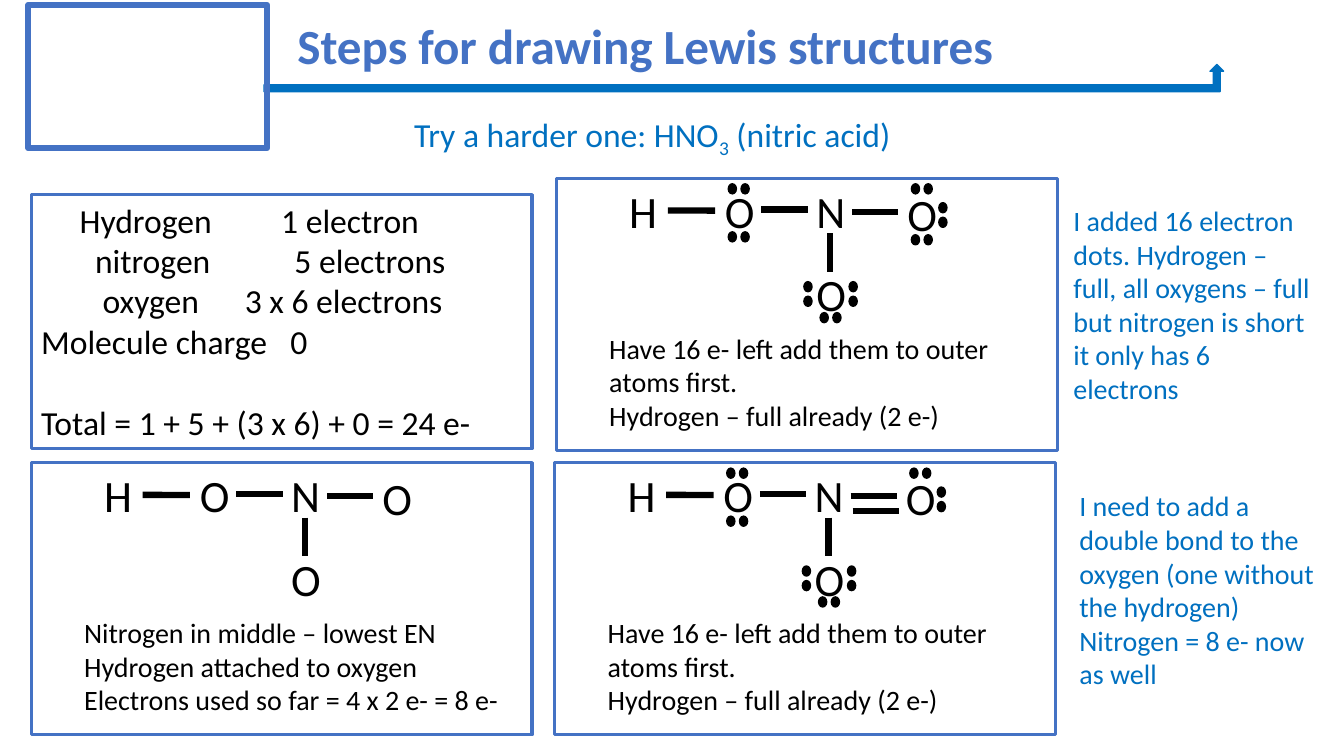
from lxml import etree
from pptx import Presentation
from pptx.dml.color import RGBColor
from pptx.enum.shapes import MSO_CONNECTOR, MSO_SHAPE
from pptx.enum.text import MSO_ANCHOR, MSO_AUTO_SIZE, PP_ALIGN
from pptx.oxml.ns import qn
from pptx.util import Pt

RECTANGLE = MSO_SHAPE.RECTANGLE
OVAL = MSO_SHAPE.OVAL
BENT_ARROW = MSO_SHAPE.BENT_UP_ARROW
STRAIGHT = MSO_CONNECTOR.STRAIGHT
TOP, MIDDLE = MSO_ANCHOR.TOP, MSO_ANCHOR.MIDDLE
LEFT = PP_ALIGN.LEFT
NO_AUTOFIT = MSO_AUTO_SIZE.NONE

INDIGO, BLUE, BLACK, WHITE = "4472C4", "0070C0", "000000", "FFFFFF"
PANEL_WIDTH, PANEL_HEIGHT = 357.8, 194.4
LOWER_TOP = 330.5

# Offsets from the top left of the molecule
ATOMS = [("H", 0, 0), ("O", 68.4, 0), ("N", 133.6, 0), ("O", 133.6, 59.8), ("O", 198.7, 2.2)]
ATOM_WIDTH, ATOM_HEIGHT = 47.5, 46.1
BONDS = [(34.6, 23, 68.4, 23), (101.5, 22.3, 134.6, 22.3),
         (166.3, 23.8, 199.4, 23.8), (150.5, 39.2, 150.5, 67)]
SECOND_BOND = (167.8, 34.6, 200.9, 34.6)
FLAT_PAIRS = [(77.8, 3.9), (77.8, 38.2), (208.6, 3.9), (143.4, 95.9)]
EXTRA_PAIR = (208.6, 40.3)
UPRIGHT_PAIRS = [(228.2, 17.4), (164.1, 73.8), (131.8, 73.8)]
DOT_WIDTH, DOT_HEIGHT = 5.8, 7.2
FLAT_STEP, UPRIGHT_STEP = 9.1, 10.4

ELECTRON_ROWS = [("Hydrogen", "1 electron", 27.5, 171.5),
                 ("nitrogen", "5 electrons", 38.5, 181),
                 ("oxygen", "3 x 6 electrons", 44, 145.5)]


def color(code):
    return RGBColor.from_string(code)


class LewisSlide:
    font = "Calibri"

    def __init__(self, page):
        self.page = page

    def add_span(self, para, text, size, ink=BLACK, bold=False):
        span = para.add_run()
        span.text = text
        span.font.name = self.font
        span.font.size = Pt(size)
        span.font.color.rgb = color(ink)
        span.font.bold = bold
        return span

    def prepare(self, box, anchor=TOP):
        """Set wrapping and anchoring, and return the first paragraph."""
        frame = box.text_frame
        frame.word_wrap = True
        frame.auto_size = NO_AUTOFIT
        frame.vertical_anchor = anchor
        para = frame.paragraphs[0]
        para.alignment = LEFT
        return para

    def title(self, text, left, top, width, height):
        box = self.page.shapes.title
        box.left, box.top, box.width, box.height = Pt(left), Pt(top), Pt(width), Pt(height)
        para = self.prepare(box, MIDDLE)
        para.line_spacing = 0.9
        self.add_span(para, text, 35.1, INDIGO, True)

    def text(self, lines, left, top, width, height, size=20, ink=BLACK):
        box = self.page.shapes.add_textbox(Pt(left), Pt(top), Pt(width), Pt(height))
        para = self.prepare(box)
        for number, line in enumerate(lines):
            if number:
                para = box.text_frame.add_paragraph()
            self.add_span(para, line, size, ink)
        return box

    def shape(self, kind, left, top, width, height, fill=None, line=INDIGO, weight=2.25):
        box = self.page.shapes.add_shape(kind, Pt(left), Pt(top), Pt(width), Pt(height))
        box.shadow.inherit = False
        if fill:
            box.fill.solid()
            box.fill.fore_color.rgb = color(fill)
        else:
            box.fill.background()
        box.line.color.rgb = color(line)
        box.line.width = Pt(weight)
        return box

    def panel(self, left, top, height=PANEL_HEIGHT):
        return self.shape(RECTANGLE, left, top, PANEL_WIDTH, height, WHITE)

    def bond(self, left, top, ends):
        x1, y1, x2, y2 = ends
        line = self.page.shapes.add_connector(
            STRAIGHT, Pt(left + x1), Pt(top + y1), Pt(left + x2), Pt(top + y2))
        line.line.color.rgb = color(BLACK)
        line.line.width = Pt(4.5)
        etree.SubElement(line._element.spPr, qn("a:effectLst"))
        return line

    def molecule(self, left, top):
        atoms = [self.text([symbol], left + x, top + y, ATOM_WIDTH, ATOM_HEIGHT, 32)
                 for symbol, x, y in ATOMS]
        bonds = [self.bond(left, top, ends) for ends in BONDS]
        bonds[0].end_connect(atoms[1], 1)

    def dots(self, left, top, pairs, step_x, step_y):
        """Draw a pair of electron dots at each offset."""
        for x, y in pairs:
            for index in range(2):
                self.shape(OVAL, left + x + index * step_x, top + y + index * step_y,
                           DOT_WIDTH, DOT_HEIGHT, BLACK, BLACK, 1)

    def structure_panel(self, left, top, caption, flat_pairs=(), upright_pairs=()):
        """Draw a framed molecule with its dots and caption; return the molecule's left."""
        self.panel(left, top)
        origin = left + 45
        self.molecule(origin, top)
        self.text(caption, left + 30.7, top + 105.6, 327, 80)
        self.dots(origin, top, flat_pairs, FLAT_STEP, 0)
        self.dots(origin, top, upright_pairs, 0, UPRIGHT_STEP)
        return origin

    def electron_count(self, left, top):
        box = self.panel(left, top, 181.4)
        para = self.prepare(box)
        rows = [(f"\t{name}\t{count}", stops) for name, count, *stops in ELECTRON_ROWS]
        rows.append(("Molecule charge\t0", [178]))
        for number, (line, stops) in enumerate(rows):
            if number:
                para = box.text_frame.add_paragraph()
                para.alignment = LEFT
            tabs = etree.SubElement(para._p.get_or_add_pPr(), qn("a:tabLst"))
            for stop in stops:
                etree.SubElement(tabs, qn("a:tab"), pos=str(Pt(stop)), algn="l")
            self.add_span(para, line, 24)
        total = box.text_frame.add_paragraph()
        total.alignment = LEFT
        total.space_before = Pt(29)
        self.add_span(total, "Total = 1 + 5 + (3 x 6) + 0 = 24 e-", 24)


def main():
    deck = Presentation()
    deck.slide_width, deck.slide_height = Pt(960), Pt(540)
    slide = LewisSlide(deck.slides.add_slide(deck.slide_layouts[5]))

    slide.title("Steps for drawing Lewis structures", 205.2, 3.6, 663, 62)
    slide.shape(BENT_ARROW, 188.6, 46.1, 685.4, 19.4, BLUE, BLUE, 1)
    slide.shape(RECTANGLE, 20.2, 3.6, 170.6, 102.2, weight=4.5)

    formula = slide.text(["Try a harder one: HNO"], 288.7, 77.8, 383, 36, 24, BLUE)
    para = formula.text_frame.paragraphs[0]
    subscript = slide.add_span(para, "3", 24, BLUE)
    subscript._r.get_or_add_rPr().set("baseline", "-25000")
    slide.add_span(para, " (nitric acid)", 24, BLUE)

    slide.electron_count(22.3, 139)
    slide.structure_panel(22.3, LOWER_TOP, [
        "Nitrogen in middle – lowest EN",
        "Hydrogen attached to oxygen",
        "Electrons used so far = 4 x 2 e- = 8 e-"])

    caption = ["Have 16 e- left add them to outer atoms first.",
               "Hydrogen – full already (2 e-)"]
    slide.structure_panel(397.4, 127.4, caption, FLAT_PAIRS + [EXTRA_PAIR], UPRIGHT_PAIRS)
    slide.text(["I added 16 electron dots. Hydrogen – full, all oxygens – full "
                "but nitrogen is short it only has 6 electrons"],
               759.6, 141.8, 183.6, 152.6, ink=BLUE)

    origin = slide.structure_panel(396.3, LOWER_TOP, caption, FLAT_PAIRS, UPRIGHT_PAIRS)
    slide.bond(origin, LOWER_TOP, SECOND_BOND)
    slide.text(["I need to add a double bond to the oxygen (one without the hydrogen)",
                "Nitrogen = 8 e- now as well"],
               763.9, 345.6, 183.6, 152.6, ink=BLUE)

    deck.save("out.pptx")


if __name__ == "__main__":
    main()
